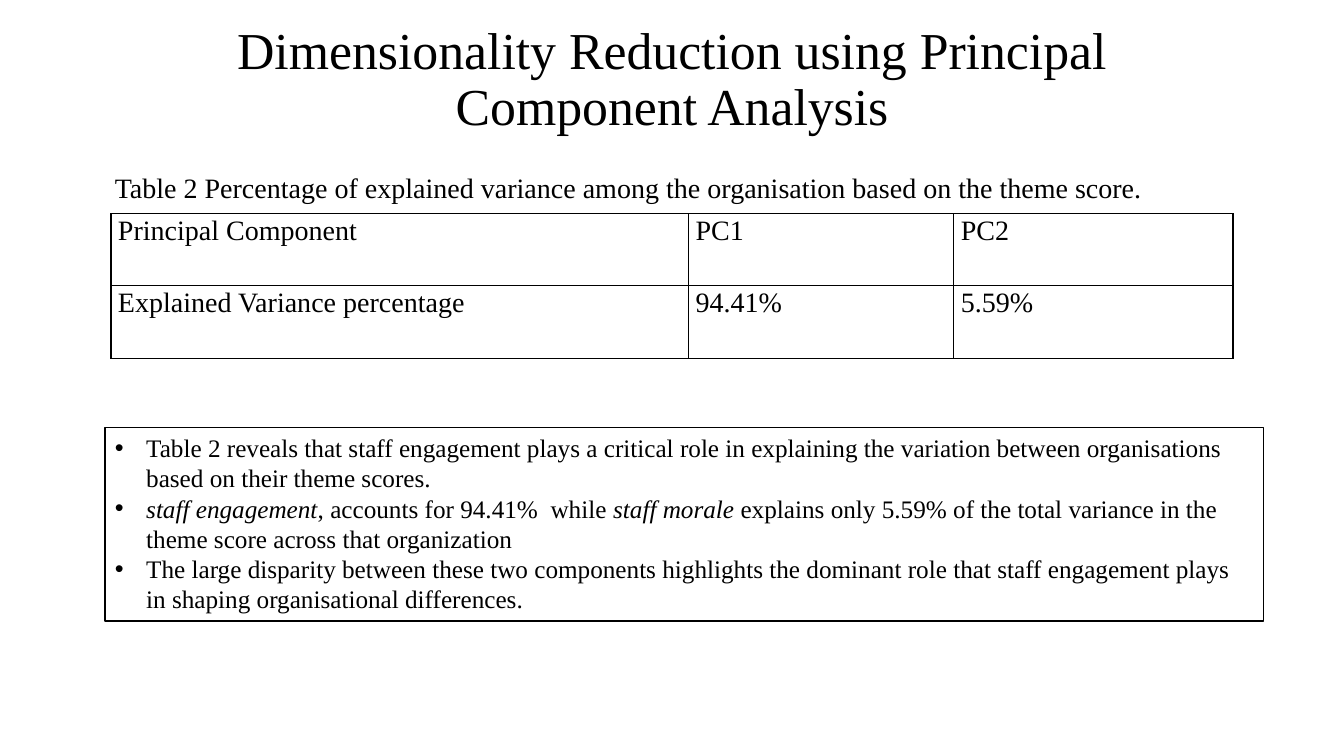
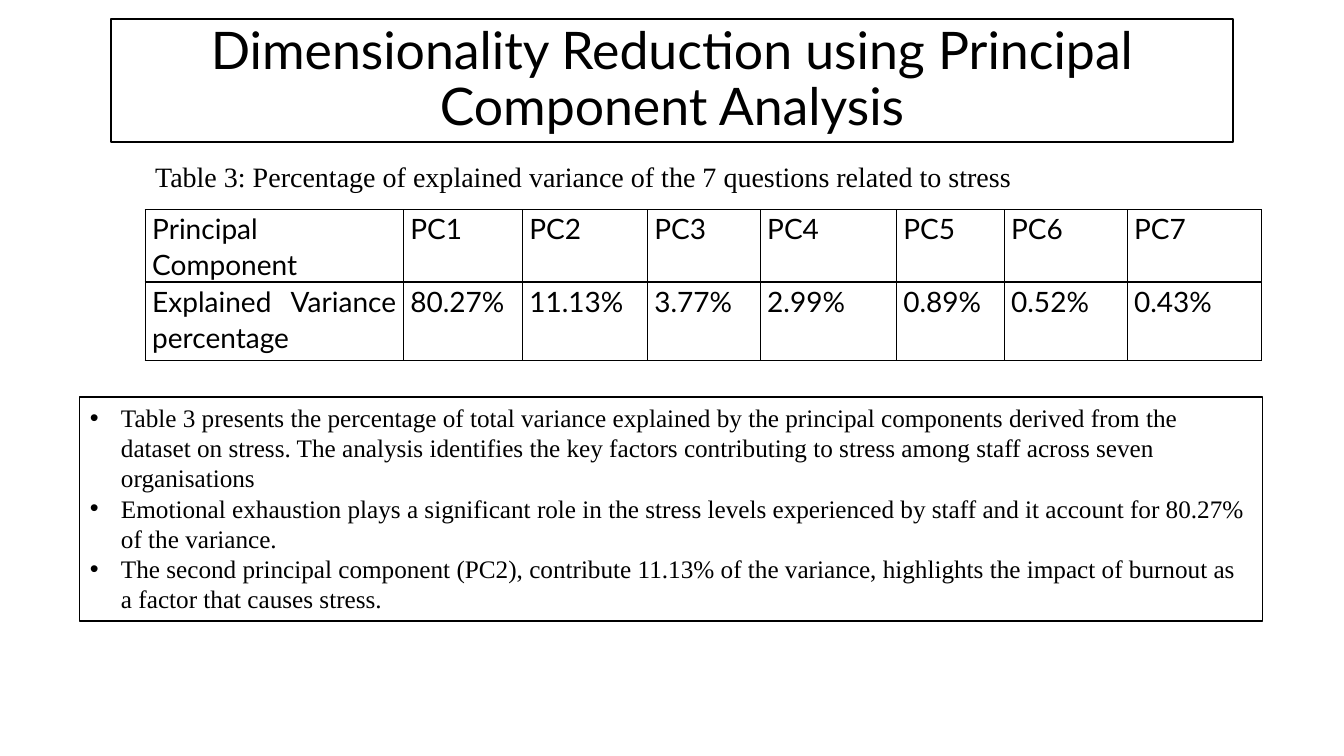
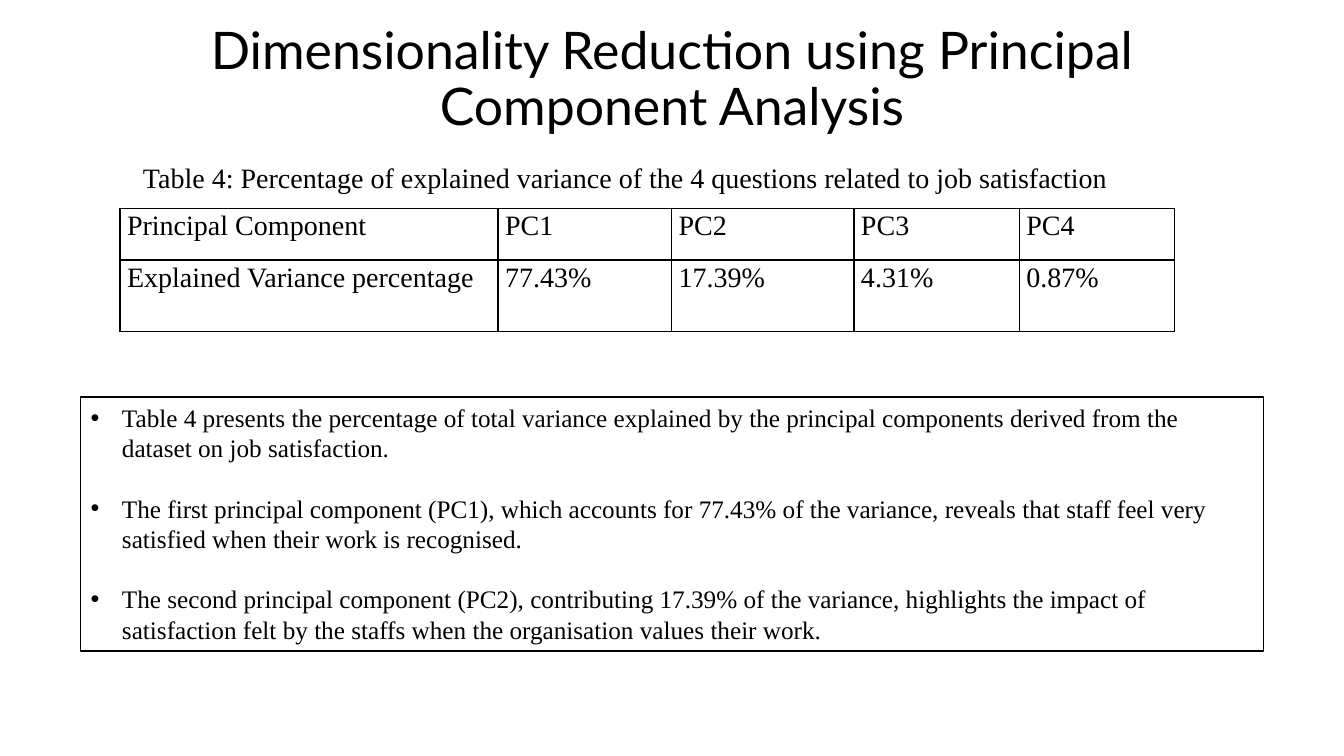
"""Build three slides on dimensionality reduction with principal component analysis."""
from dataclasses import dataclass

from lxml.etree import SubElement
from pptx import Presentation
from pptx.dml.color import RGBColor
from pptx.enum.text import MSO_ANCHOR, MSO_AUTO_SIZE, PP_ALIGN
from pptx.oxml import parse_xml
from pptx.oxml.ns import nsdecls, qn
from pptx.util import Inches, Pt


@dataclass(frozen=True)
class Theme:
    serif: str = "Times New Roman"
    sans: str = "Lato"
    ink: str = "000000"
    title_size: float = 37
    table_size: float = 20
    body_size: float = 18
    line_width: float = 1
    indent: float = 0.31
    cell_margin: float = 0.07


THEME = Theme()
INK = RGBColor.from_string(THEME.ink)
TITLE = "Dimensionality Reduction using Principal Component Analysis"
TITLE_AREA = (1.1, 0.19, 11.13, 1.22)
CAPTION_SIZE = (10.6, 0.44)
ROW_LABELS = ("Principal Component", "Explained Variance percentage")

PAGES = [
    {
        "title_font": THEME.serif,
        "title_framed": False,
        "caption": "Table 2 Percentage of explained variance among the organisation based on the theme score.",
        "caption_at": (1.04, 1.64),
        "table_at": (1.1, 2.12),
        "table_font": THEME.serif,
        "columns": (5.73, 2.63, 2.77),
        "rows": (0.71, 0.73),
        "shares": ("94.41%", "5.59%"),
        "body_area": (1.04, 4.24, 11.49, 1.92),
        "body_gap": 0,
        "bullets": [
            [("Table 2 reveals that staff engagement plays a critical role in explaining the "
              "variation between organisations based on their theme scores.", False)],
            [("staff engagement", True), (", accounts for 94.41%  while ", False),
             ("staff morale", True),
             (" explains only 5.59% of the total variance in the theme score across that "
              "organization", False)],
            [("The large disparity between these two components highlights the dominant role "
              "that staff engagement plays in shaping organisational differences.", False)],
        ],
    },
    {
        "title_font": THEME.sans,
        "title_framed": True,
        "caption": "Table 3: Percentage of explained variance of the 7 questions related to stress",
        "caption_at": (1.44, 1.53),
        "table_at": (1.44, 2.08),
        "table_font": THEME.sans,
        "columns": (2.56, 1.18, 1.24, 1.12, 1.35, 1.07, 1.22, 1.33),
        "rows": (0.71, 0.78),
        "shares": ("80.27%", "11.13%", "3.77%", "2.99%", "0.89%", "0.52%", "0.43%"),
        "body_area": (0.79, 3.94, 11.73, 2.22),
        "body_gap": 0,
        "bullets": [
            [("Table 3 presents the percentage of total variance explained by the principal "
              "components derived from the dataset on stress. The analysis identifies the key "
              "factors contributing to stress among staff across seven organisations", False)],
            [("Emotional exhaustion plays a significant role in the stress levels experienced "
              "by staff and it account for 80.27% of the variance.", False)],
            [("The second principal component (PC2), contribute 11.13% of the variance, "
              "highlights the impact of burnout as a factor that causes stress.", False)],
        ],
    },
    {
        "title_font": THEME.sans,
        "title_framed": False,
        "caption": "Table 4: Percentage of explained variance of the 4 questions related to job satisfaction",
        "caption_at": (1.32, 1.54),
        "table_at": (1.19, 2.07),
        "table_font": THEME.serif,
        "columns": (3.75, 1.72, 1.81, 1.64, 1.54),
        "rows": (0.51, 0.71),
        "shares": ("77.43%", "17.39%", "4.31%", "0.87%"),
        "body_area": (0.8, 3.94, 11.73, 2.52),
        "body_gap": 21.6,
        "bullets": [
            [("Table 4 presents the percentage of total variance explained by the principal "
              "components derived from the dataset on job satisfaction.", False)],
            [("The first principal component (PC1), which accounts for 77.43% of the variance, "
              "reveals that staff feel very satisfied when their work is recognised.", False)],
            [("The second principal component (PC2), contributing 17.39% of the variance, "
              "highlights the impact of satisfaction felt by the staffs when the organisation "
              "values their work.", False)],
        ],
    },
]


def place(shape, area):
    shape.left, shape.top, shape.width, shape.height = map(Inches, area)


def frame(shape):
    shape.line.color.rgb = INK
    shape.line.width = Pt(THEME.line_width)


def prepare(text_frame, anchor):
    text_frame.word_wrap = True
    text_frame.auto_size = MSO_AUTO_SIZE.NONE
    text_frame.vertical_anchor = anchor


def style(para, font, size, align=PP_ALIGN.LEFT, spacing=1.0, after=0):
    para.font.name, para.font.size = font, Pt(size)
    para.font.color.rgb = INK
    para.alignment, para.line_spacing = align, spacing
    para.space_before, para.space_after = Pt(0), Pt(after)


def add_bullet(para):
    properties = para._p.get_or_add_pPr()
    properties.set("marL", str(Inches(THEME.indent)))
    properties.set("indent", str(-Inches(THEME.indent)))
    bullet_font = parse_xml(f'<a:buFont {nsdecls("a")} typeface="Arial"/>')
    bullet = parse_xml(f'<a:buChar {nsdecls("a")} char="•"/>')
    position = list(properties).index(properties.find(qn("a:defRPr")))
    properties.insert(position, bullet_font)
    properties.insert(position + 1, bullet)


def add_borders(cell):
    properties = cell._tc.get_or_add_tcPr()
    for position, side in enumerate(("lnL", "lnR", "lnT", "lnB")):
        border = parse_xml(f'<a:{side} {nsdecls("a")} w="{Pt(THEME.line_width)}"/>')
        fill = SubElement(border, qn("a:solidFill"))
        SubElement(fill, qn("a:srgbClr"), val=THEME.ink)
        properties.insert(position, border)


def fill_title(page, content):
    title = page.shapes.title
    place(title, TITLE_AREA)
    prepare(title.text_frame, MSO_ANCHOR.MIDDLE)
    title.text_frame.text = TITLE
    style(title.text_frame.paragraphs[0], content["title_font"], THEME.title_size,
          PP_ALIGN.CENTER, 0.9, 6)
    if content["title_framed"]:
        frame(title)


def fill_body(page, content):
    body = page.placeholders[1]
    place(body, content["body_area"])
    frame(body)
    prepare(body.text_frame, MSO_ANCHOR.TOP)
    for number, spans in enumerate(content["bullets"]):
        para = body.text_frame.add_paragraph() if number else body.text_frame.paragraphs[0]
        style(para, THEME.serif, THEME.body_size, after=content["body_gap"])
        add_bullet(para)
        for text, italic in spans:
            span = para.add_run()
            span.text = text
            if italic:
                span.font.italic = True


def add_variance_table(page, content):
    columns, rows = content["columns"], content["rows"]
    area = (*content["table_at"], sum(columns), sum(rows))
    table = page.shapes.add_table(len(rows), len(columns), *map(Inches, area)).table
    table.first_row = table.horz_banding = False
    for column, width in zip(table.columns, columns):
        column.width = Inches(width)
    for row, height in zip(table.rows, rows):
        row.height = Inches(height)
    components = [f"PC{number}" for number in range(1, len(columns))]
    for row, label, values in zip(table.rows, ROW_LABELS, (components, content["shares"])):
        for cell, text in zip(row.cells, (label, *values)):
            cell.text = text
            cell.margin_left = cell.margin_right = Inches(THEME.cell_margin)
            cell.margin_top = cell.margin_bottom = 0
            cell.fill.background()
            add_borders(cell)
            style(cell.text_frame.paragraphs[0], content["table_font"], THEME.table_size,
                  PP_ALIGN.JUSTIFY, 1.07, 8)


def add_caption(page, content):
    area = (*content["caption_at"], *CAPTION_SIZE)
    box = page.shapes.add_textbox(*map(Inches, area))
    prepare(box.text_frame, MSO_ANCHOR.MIDDLE)
    box.text_frame.text = content["caption"]
    style(box.text_frame.paragraphs[0], THEME.serif, THEME.table_size)


def main():
    deck = Presentation()
    deck.slide_width, deck.slide_height = Inches(13.33), Inches(7.5)
    for content in PAGES:
        page = deck.slides.add_slide(deck.slide_layouts[1])
        fill_title(page, content)
        fill_body(page, content)
        add_variance_table(page, content)
        add_caption(page, content)
    deck.save("out.pptx")


if __name__ == "__main__":
    main()
